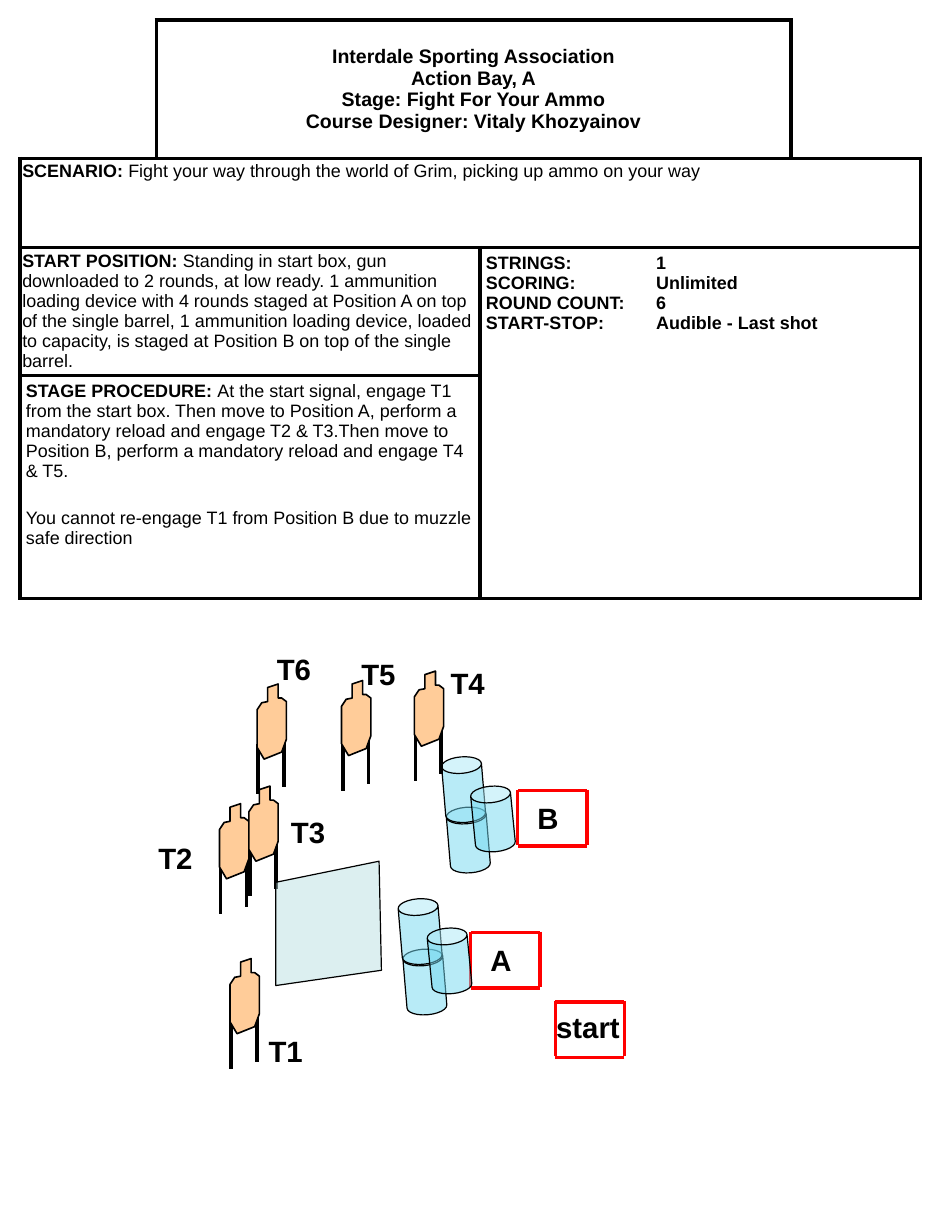
import pptx
import pptx.dml.color
import pptx.enum.shapes
import pptx.enum.text
import pptx.oxml.ns
import pptx.util
from dataclasses import dataclass
from typing import Any, Optional
from lxml import etree
from pptx.util import Inches

COLOURS = {"black": "000000", "white": "FFFFFF", "red": "FF0000",
           "target": "FFCC99", "barrel": "73D9F1", "wall": "BBE0E3"}
FONT = "Arial"
COLUMNS = [1.16, 2.76, 2.65, 1.1]
ROWS = [1.18, 0.76, 1.09, 1.9]
TARGET_OUTLINE = [(0.09, 0.03), (0.18, 0), (0.18, 0.12), (0.21, 0.12), (0.25, 0.15),
                  (0.25, 0.47), (0.21, 0.58), (0.06, 0.64), (0, 0.54), (0, 0.22),
                  (0.04, 0.16), (0.09, 0.15)]
WALL_OUTLINE = [(2.35, 7.52), (3.23, 7.34), (3.25, 8.27), (2.35, 8.4)]


@dataclass
class Paragraph:
    heading: str
    body: str = ""
    size: float = 11
    bold: bool = True
    before: float = 0
    line_spacing: Optional[float] = None
    centred: bool = False
    tab: Optional[float] = None


@dataclass
class Section:
    row: int
    column: int
    last_row: int
    last_column: int
    margins: tuple[float, float]
    paragraphs: list[Paragraph]
    middle: bool = False


@dataclass
class Label:
    text: str
    left: float
    top: float
    width: float = 0.58


@dataclass
class Position:
    """A red square on the ground; the label is placed relative to it."""
    left: float
    top: float
    label: Label


SECTIONS = [
    Section(0, 1, 0, 2, (0.05, 0.05), [Paragraph(
        "Interdale Sporting Association\nAction Bay, A\nStage: Fight For Your Ammo\n"
        "Course Designer: Vitaly Khozyainov", size=12, centred=True)], middle=True),
    Section(1, 0, 1, 3, (0.02, 0.04), [Paragraph(
        "SCENARIO: ", "Fight your way through the world of Grim, picking up ammo on your way",
        line_spacing=0.9)]),
    Section(2, 0, 2, 1, (0.02, 0.03), [Paragraph(
        "START POSITION: ",
        "Standing in start box, gun downloaded to 2 rounds, at low ready. 1 ammunition loading "
        "device with 4 rounds staged at Position A on top of the single barrel, 1 ammunition "
        "loading device, loaded to capacity, is staged at Position B on top of the single "
        "barrel.")]),
    Section(2, 2, 3, 3, (0.05, 0.05), [Paragraph(f"{name}:\t{value}", tab=1.45) for name, value in [
        ("STRINGS", "1"), ("SCORING", "Unlimited"), ("ROUND COUNT", "6"),
        ("START-STOP", "Audible - Last shot")]]),
    Section(3, 0, 3, 1, (0.05, 0.05), [
        Paragraph("STAGE PROCEDURE: ",
                  "At the start signal, engage T1 from the start box. Then move to Position A, "
                  "perform a mandatory reload and engage T2 & T3.Then move to Position B, "
                  "perform a mandatory reload and engage T4 & T5."),
        Paragraph("You cannot re-engage T1 from Position B due to muzzle safe direction",
                  bold=False, before=16.5)]),
]
TARGET_LABELS = [Label("T1", 2.19, 8.76), Label("T2", 1.25, 7.11), Label("T3", 2.38, 6.89),
                 Label("T4", 3.74, 5.62), Label("T5", 2.98, 5.54), Label("T6", 2.26, 5.5)]
TARGETS = [(1.96, 8.17), (1.87, 6.85), (2.12, 6.7), (3.53, 5.72), (2.91, 5.8), (2.19, 5.83)]
START = Position(4.73, 8.53, Label("start", -0.09, 0.02, 0.86))
POSITION_A = Position(4.01, 7.94, Label("A", 0.07, 0.04, 0.37))
POSITION_B = Position(4.41, 6.73, Label("B", 0.07, 0.04, 0.37))


def rgb(name: str) -> pptx.dml.color.RGBColor:
    return pptx.dml.color.RGBColor.from_string(COLOURS[name])


def write_paragraph(para: Any, content: Paragraph) -> None:
    if content.centred:
        para.alignment = pptx.enum.text.PP_ALIGN.CENTER
    if content.line_spacing:
        para.line_spacing = content.line_spacing
    if content.before:
        para.space_before = pptx.util.Pt(content.before)
    if content.tab:
        tabs = etree.SubElement(para._p.get_or_add_pPr(), pptx.oxml.ns.qn("a:tabLst"))
        etree.SubElement(tabs, pptx.oxml.ns.qn("a:tab"), pos=str(Inches(content.tab)), algn="l")
    para.font.name = FONT
    para.font.size = pptx.util.Pt(content.size)
    para.font.color.rgb = rgb("black")
    if content.body:
        for text, bold in ((content.heading, True), (content.body, False)):
            span = para.add_run()
            span.text = text
            span.font.bold = bold
    else:
        para.text = content.heading
        para.font.bold = content.bold


def set_borders(cell: Any, sides: str) -> None:
    """Draw the sides named by the letters L, R, T and B; clear the others."""
    properties = cell._tc.get_or_add_tcPr()
    for index, side in enumerate("LRTB"):
        line = etree.Element(pptx.oxml.ns.qn(f"a:ln{side}"), w=str(pptx.util.Pt(2.25)))
        if side in sides:
            fill = etree.SubElement(line, pptx.oxml.ns.qn("a:solidFill"))
            etree.SubElement(fill, pptx.oxml.ns.qn("a:srgbClr"), val=COLOURS["black"])
        else:
            etree.SubElement(line, pptx.oxml.ns.qn("a:noFill"))
        properties.insert(index, line)


def add_briefing(shapes: Any) -> None:
    table = shapes.add_table(len(ROWS), len(COLUMNS), Inches(0.17), Inches(0.17),
                             Inches(sum(COLUMNS)), Inches(sum(ROWS))).table
    for column, width in zip(table.columns, COLUMNS):
        column.width = Inches(width)
    for row, height in zip(table.rows, ROWS):
        row.height = Inches(height)
    corner_sides = {(0, 0): "RB", (0, len(COLUMNS) - 1): "LB"}
    for row in range(len(ROWS)):
        for column in range(len(COLUMNS)):
            cell = table.cell(row, column)
            cell.fill.solid()
            cell.fill.fore_color.rgb = rgb("white")
            set_borders(cell, corner_sides.get((row, column), "LRTB"))
    for section in SECTIONS:
        cell = table.cell(section.row, section.column)
        cell.merge(table.cell(section.last_row, section.last_column))
        cell.margin_left = cell.margin_right = Inches(section.margins[0])
        cell.margin_top = cell.margin_bottom = Inches(section.margins[1])
        if section.middle:
            cell.vertical_anchor = pptx.enum.text.MSO_ANCHOR.MIDDLE
        for index, content in enumerate(section.paragraphs):
            frame = cell.text_frame
            write_paragraph(frame.add_paragraph() if index else frame.paragraphs[0], content)


def add_label(shapes: Any, label: Label, left: float = 0, top: float = 0) -> None:
    box = shapes.add_textbox(Inches(left + label.left), Inches(top + label.top),
                             Inches(label.width), Inches(0.4))
    box.text_frame.word_wrap = True
    write_paragraph(box.text_frame.paragraphs[0], Paragraph(label.text, size=18))


def add_line(shapes: Any, x1: float, y1: float, x2: float, y2: float,
             colour: str, width: float) -> None:
    line = shapes.add_connector(pptx.enum.shapes.MSO_CONNECTOR.STRAIGHT,
                                Inches(x1), Inches(y1), Inches(x2), Inches(y2))
    line.line.color.rgb = rgb(colour)
    line.line.width = pptx.util.Pt(width)
    etree.SubElement(line._element.spPr, pptx.oxml.ns.qn("a:effectLst"))


def paint(shape: Any, colour: str, line_width: float, opacity: int = 100) -> None:
    shape.shadow.inherit = False
    shape.fill.solid()
    shape.fill.fore_color.rgb = rgb(colour)
    if opacity < 100:
        fill = shape._element.spPr.find(pptx.oxml.ns.qn("a:solidFill"))
        etree.SubElement(fill[0], pptx.oxml.ns.qn("a:alpha"), val=str(opacity * 1000))
    shape.line.color.rgb = rgb("black")
    shape.line.width = pptx.util.Pt(line_width)


def add_outline(shapes: Any, points: list[tuple[float, float]],
                left: float = 0, top: float = 0) -> Any:
    corners = [(Inches(left + x), Inches(top + y)) for x, y in points]
    builder = shapes.build_freeform(*corners[0])
    builder.add_line_segments(corners[1:], close=True)
    return builder.convert_to_shape()


def add_target(shapes: Any, left: float, top: float) -> None:
    group = shapes.add_group_shape().shapes
    for x, y in ((0.01, 0.51), (0.23, 0.45)):
        add_line(group, left + x, top + y, left + x, top + y + 0.43, "black", 2.25)
    paint(add_outline(group, TARGET_OUTLINE, left, top), "target", 1)


def add_position(shapes: Any, position: Position) -> None:
    group = shapes.add_group_shape().shapes
    left, top = position.left, position.top
    right = left + 0.59
    for y in (top + 0.01, top + 0.48):
        add_line(group, right, y, left, y, "red", 2)
    for x in (right, left):
        add_line(group, x, top, x, top + 0.47, "red", 2)
    add_label(group, position.label, left, top)


def add_barrel(shapes: Any, left: float, top: float, rotation: float) -> None:
    barrel = shapes.add_shape(pptx.enum.shapes.MSO_SHAPE.CAN, Inches(left), Inches(top),
                              Inches(0.34), Inches(0.56))
    barrel.adjustments[0] = 0.413
    barrel.rotation = rotation
    paint(barrel, "barrel", 0.75, opacity=50)


def add_barrels(shapes: Any, left: float, top: float) -> None:
    """Two stacked barrels with a single one beside them."""
    stack = shapes.add_group_shape().shapes
    add_barrel(stack, left + 0.04, top + 0.43, 355.2)
    add_barrel(stack, left, top, 355.2)
    add_barrel(shapes, left + 0.25, top + 0.25, 354.4)


def main() -> None:
    deck = pptx.Presentation()
    deck.slide_width, deck.slide_height = Inches(8), Inches(10.5)
    shapes = deck.slides.add_slide(deck.slide_layouts[6]).shapes
    add_briefing(shapes)
    for label in TARGET_LABELS:
        add_label(shapes, label)
    add_position(shapes, START)
    add_position(shapes, POSITION_A)
    add_barrels(shapes, 3.41, 7.66)
    add_barrels(shapes, 3.78, 6.45)
    add_position(shapes, POSITION_B)
    for left, top in TARGETS:
        add_target(shapes, left, top)
    paint(add_outline(shapes, WALL_OUTLINE), "wall", 0.75, opacity=50)
    deck.save("out.pptx")


if __name__ == "__main__":
    main()
